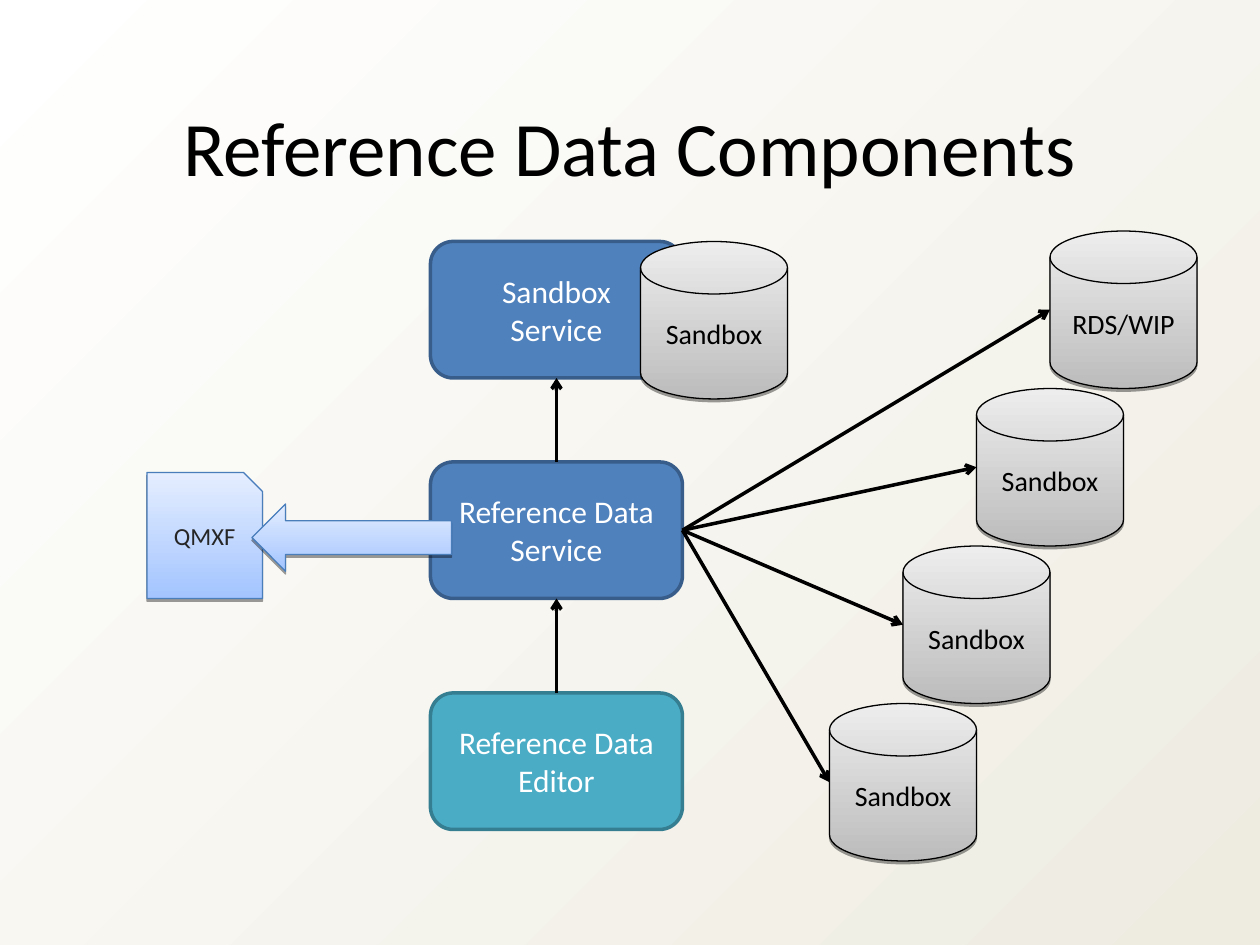
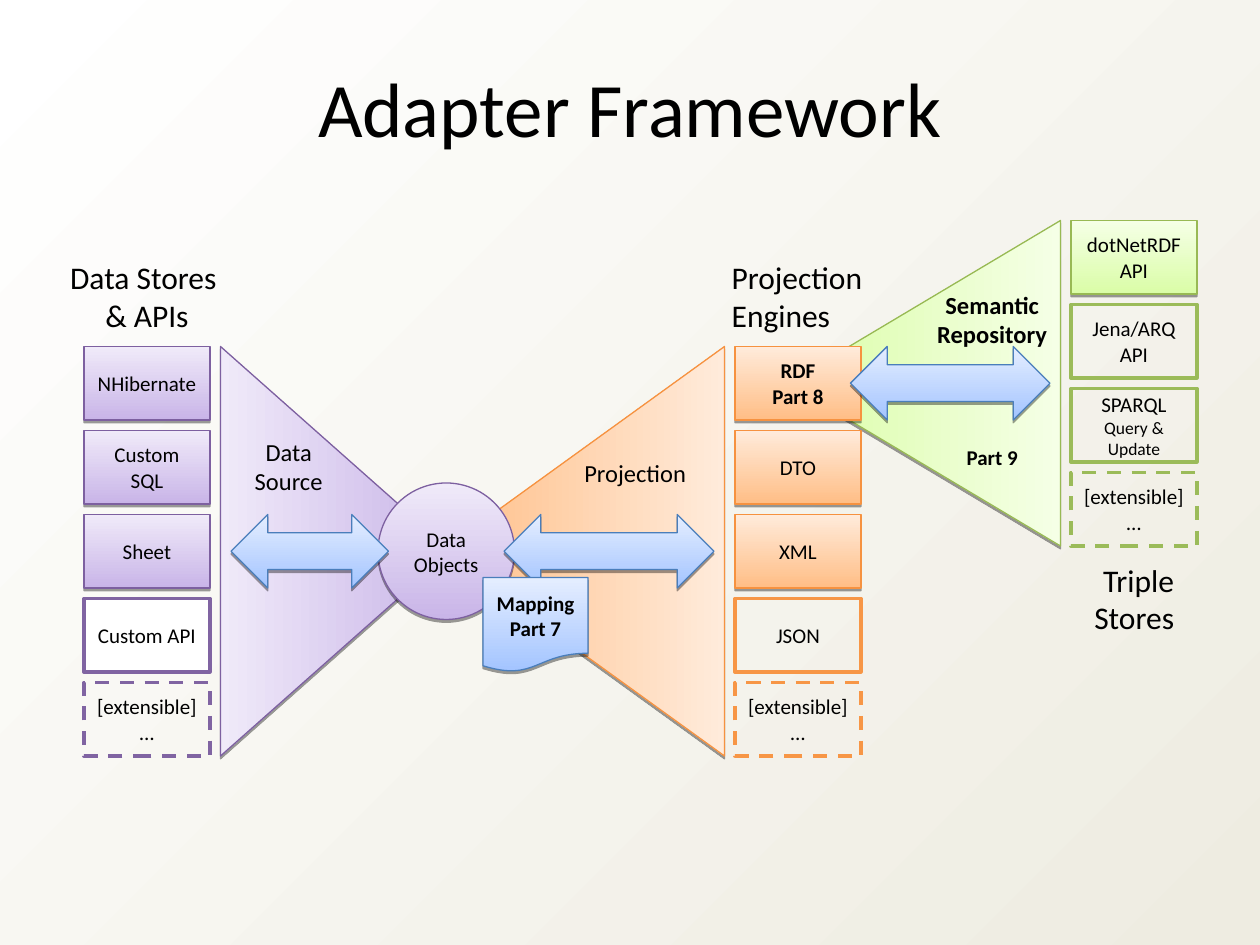
from dataclasses import dataclass
from typing import Any, NamedTuple

from lxml.etree import SubElement
from pptx import Presentation
from pptx.dml.color import RGBColor
from pptx.enum.dml import MSO_LINE
from pptx.enum.shapes import MSO_CONNECTOR, MSO_SHAPE
from pptx.enum.text import MSO_ANCHOR, MSO_AUTO_SIZE, PP_ALIGN
from pptx.oxml.ns import qn
from pptx.util import Emu, Inches, Pt

WIDE, HIGH = Inches(10), Inches(7.5)
COLS = 120
UNIT = WIDE // COLS
FONT = "Calibri"
BLACK, WHITE = "000000", "FFFFFF"


class Box(NamedTuple):
    """A place on the grid, in columns and rows."""

    col: float
    row: float
    wide: float
    high: float


class Look(NamedTuple):
    """Fill (none, flat or deep-to-pale), edge colour and edge style."""

    fill: tuple[str, ...]
    edge: str
    width: float = 0.75
    dash: bool = False


class Type(NamedTuple):
    """Text format, with an optional second run below or beside the first."""

    size: float = 12
    ink: str = BLACK
    bold: bool = False
    align: Any = PP_ALIGN.CENTER
    wrap: bool = True
    more: str = ""
    small: float = 10
    gap: float = 0


@dataclass
class Item:
    """A preset shape with its place, look and text."""

    kind: Any
    box: Box
    look: Look
    text: str = ""
    type: Type = Type()
    turn: int = 0


@dataclass
class Label:
    """Free text on the slide."""

    box: Box
    text: str
    type: Type


@dataclass
class Stack:
    """A column of equal boxes, one cell below another."""

    col: int
    row: int
    cells: list[tuple[str, Look, Type]]

    def items(self) -> list[Item]:
        """Place the cells at an equal pitch."""
        return [Item(MSO_SHAPE.RECTANGLE, Box(self.col, self.row + 8 * n, 12, 7), look, text, form)
                for n, (text, look, form) in enumerate(self.cells)]


def outline(hue: str, dash: bool = False, fill: tuple[str, ...] = ()) -> Look:
    """Make a look with a heavy edge."""
    return Look(fill, hue, 2, dash)


BLUE = Look(("A3C4FF", "E5EEFF"), "4A7EBB")
PURPLE = Look(("C9B5E8", "F0EAF9"), "7D60A0")
ORANGE = Look(("FFBE86", "FFEBDB"), "F69240")
GREEN = Look(("DAFDA7", "F5FFE6"), "98B954")
GREY = Look(("BCBCBC", "EDEDED"), BLACK)
CORE = outline("385D8A", fill=("4F81BD",))
TEAL = outline("357D91", fill=("4BACC6",))
VIOLET, AMBER, LIME = "8064A2", "F79646", "9BBB59"
BODY, BOLD = Type(), Type(bold=True)
NOTE, HEAD = Type(14), Type(18)
MORE = "[extensible]\n…"


def put(target: Any, **values: Any) -> None:
    """Set each named value on the target."""
    for name, value in values.items():
        setattr(target, name, value)


def tint(target: Any, hue: str) -> None:
    """Colour a fill, line or font colour from a hex string."""
    target.rgb = RGBColor.from_string(hue)


def blend(fill: Any, hues: tuple[str, ...], angle: float) -> None:
    """Lay a two-stop gradient at a counter-clockwise angle."""
    fill.gradient()
    fill.gradient_angle = angle
    for stop, hue in zip(fill.gradient_stops, hues):
        tint(stop.color, hue)


def place(box: Box) -> list[Emu]:
    """Turn grid cells into lengths."""
    return [Emu(round(part * UNIT)) for part in box]


def style(run: Any, size: float, form: Type) -> None:
    """Format one run."""
    put(run.font, name=FONT, size=Pt(size), bold=form.bold)
    tint(run.font.color, form.ink)


def write(shape: Any, text: str, form: Type, anchor: Any) -> None:
    """Fill a shape with formatted text."""
    frame = shape.text_frame
    put(frame, text=text, word_wrap=form.wrap, vertical_anchor=anchor, auto_size=MSO_AUTO_SIZE.NONE)
    for para in frame.paragraphs:
        for run in para.runs:
            style(run, form.size, form)
    if form.more:
        para = frame.add_paragraph() if form.gap else frame.paragraphs[-1]
        para.space_before = Pt(form.gap)
        run = para.add_run()
        run.text = form.more
        style(run, form.small, form)
    for para in frame.paragraphs:
        para.alignment = form.align


def shade(shape: Any) -> None:
    """Drop a short shadow straight down."""
    list_ = shape._element.spPr.find(qn("a:effectLst"))
    drop = SubElement(list_, qn("a:outerShdw"), blurRad="0", dist="20000", dir="5400000", rotWithShape="0")
    hue = SubElement(drop, qn("a:srgbClr"), val=BLACK)
    SubElement(hue, qn("a:alpha"), val="38000")


def dress(shape: Any, look: Look, angle: float = 90) -> None:
    """Give a shape its fill, edge and shadow."""
    shape.shadow.inherit = False
    if len(look.fill) == 2:
        blend(shape.fill, look.fill, angle)
        shade(shape)
    elif look.fill:
        shape.fill.solid()
        tint(shape.fill.fore_color, look.fill[0])
    else:
        shape.fill.background()
    tint(shape.line.color, look.edge)
    shape.line.width = Pt(look.width)
    if look.dash:
        shape.line.dash_style = MSO_LINE.DASH


def draw(slide: Any, item: Item) -> None:
    """Draw a preset shape; a turned one still covers its box."""
    col, row, wide, high = item.box
    box = item.box
    if item.turn:
        box = Box(col + (wide - high) / 2, row + (high - wide) / 2, high, wide)
    shape = slide.shapes.add_shape(item.kind, *place(box))
    shape.rotation = item.turn
    dress(shape, item.look, 270 if item.turn else 90)
    if item.text:
        write(shape, item.text, item.type, MSO_ANCHOR.MIDDLE)


def label(slide: Any, item: Label) -> None:
    """Add a text box."""
    write(slide.shapes.add_textbox(*place(item.box)), item.text, item.type, MSO_ANCHOR.TOP)


def arrow(slide: Any, start: tuple[float, float], end: tuple[float, float]) -> None:
    """Draw a line with an open head at its end."""
    ends = [Emu(round(part * UNIT)) for part in (*start, *end)]
    line = slide.shapes.add_connector(MSO_CONNECTOR.STRAIGHT, *ends)
    tint(line.line.color, BLACK)
    line.line.width = Pt(2)
    props = line._element.spPr
    SubElement(props.find(qn("a:ln")), qn("a:tailEnd"), type="arrow")
    SubElement(props, qn("a:effectLst"))


def sheet(slide: Any, box: Box, cut: float, text: str) -> None:
    """Draw a page with its top right corner cut."""
    left, top, wide, high = place(box)
    snip = round(cut * UNIT)
    right, foot = left + wide, top + high
    pen = slide.shapes.build_freeform(left, top)
    pen.add_line_segments([(right - snip, top), (right, top + snip), (right, foot), (left, foot)])
    page = pen.convert_to_shape()
    dress(page, BLUE)
    write(page, text, Type(14, "262626"), MSO_ANCHOR.MIDDLE)


def begin(deck: Any, title: str, row: float) -> Any:
    """Add a slide with its title at a row."""
    slide = deck.slides.add_slide(deck.slide_layouts[5])
    head = slide.shapes.title
    left, top, wide, high = place(Box(2, row, COLS - 4, 10))
    put(head, left=left, top=top, width=wide, height=high)
    write(head, title, Type(44), MSO_ANCHOR.TOP)
    return slide


def parts(deck: Any) -> None:
    """Build the slide of reference data parts."""
    slide = begin(deck, "Reference Data Components", 8.9)
    names = ["RDS/WIP", "Sandbox", "Sandbox", "Sandbox"]
    disks = [Item(MSO_SHAPE.FLOWCHART_MAGNETIC_DISK, Box(100 - 7 * n, 22 + 15 * n, 14, 15), GREY, name, Type(16))
             for n, name in enumerate(names)]
    boxes = [Item(MSO_SHAPE.ROUNDED_RECTANGLE, Box(41, row, 24, 13), look, text, Type(18, WHITE))
             for row, look, text in [(23, CORE, "Sandbox\vService"), (44, CORE, "Reference Data Service"),
                                     (66, TEAL, "Reference Data Editor")]]
    for item in disks + boxes:
        draw(slide, item)
    sheet(slide, Box(14, 45, 11, 12), 1.8, "QMXF")
    for disk in disks:
        arrow(slide, (65, 50.5), (disk.box.col, disk.box.row + 7.5))
    draw(slide, Item(MSO_SHAPE.LEFT_ARROW, Box(24, 48, 19, 6.4), BLUE))
    for upper, lower in zip(boxes, boxes[1:]):
        arrow(slide, (53, lower.box.row), (53, upper.box.row + 13))
    draw(slide, Item(MSO_SHAPE.FLOWCHART_MAGNETIC_DISK, Box(61, 23, 14, 15), GREY, "Sandbox", Type(16)))


def frame(deck: Any) -> None:
    """Build the slide of the adapter framework."""
    slide = begin(deck, "Adapter Framework", 5.2)
    fans = [(Box(75, 21, 26, 31), GREEN, 270), (Box(21, 33, 22, 39), PURPLE, 90),
            (Box(42, 33, 27, 39), ORANGE, 270)]
    for box, look, turn in fans:
        draw(slide, Item(MSO_SHAPE.ISOSCELES_TRIANGLE, box, look, turn=turn))
    stacks = [
        Stack(8, 33, [("NHibernate", PURPLE, BODY), ("Custom SQL", PURPLE, BODY), ("Sheet", PURPLE, BODY),
                      ("Custom API", outline(VIOLET, fill=(WHITE,)), BODY), (MORE, outline(VIOLET, True), BODY)]),
        Stack(70, 33, [("RDF\vPart 8", ORANGE, BOLD), ("DTO", ORANGE, BODY), ("XML", ORANGE, BODY),
                       ("JSON", outline(AMBER), BODY), (MORE, outline(AMBER, True), BODY)]),
        Stack(102, 21, [("dotNetRDF API", GREEN, BODY), ("Jena/ARQ\vAPI", outline(LIME), BODY),
                        ("SPARQL ", outline(LIME), Type(more="Query & Update")),
                        (MORE, outline(LIME, True), BODY)]),
    ]
    for stack in stacks:
        for item in stack.items():
            draw(slide, item)
    draw(slide, Item(MSO_SHAPE.OVAL, Box(36, 46, 13, 13), PURPLE, "Data Objects"))
    for col, row, wide in [(22, 49, 15), (48, 49, 20), (81, 33, 19)]:
        draw(slide, Item(MSO_SHAPE.LEFT_RIGHT_ARROW, Box(col, row, wide, 7), BLUE))
    draw(slide, Item(MSO_SHAPE.FLOWCHART_DOCUMENT, Box(46, 55, 10, 9), BLUE, "Mapping\vPart 7", BOLD))
    labels = [
        Label(Box(88, 27, 13, 18.5), "Semantic\vRepository", Type(14, bold=True, more="Part 9", small=12, gap=55)),
        Label(Box(52, 43, 17, 4), "Projection", NOTE),
        Label(Box(21, 41, 13, 7), "Data\vSource", NOTE),
        Label(Box(68.5, 24, 15, 8.4), "Projection\vEngines", Type(18, align=PP_ALIGN.LEFT, wrap=False)),
        Label(Box(5.5, 24, 17, 12), "Data Stores \v& APIs", HEAD),
        Label(Box(103, 52.8, 10, 8.4), "Triple\vStores", Type(18, align=PP_ALIGN.RIGHT, wrap=False)),
    ]
    for item in labels:
        label(slide, item)


def main() -> None:
    """Build the deck and save it."""
    deck = Presentation()
    put(deck, slide_width=WIDE, slide_height=HIGH)
    blend(deck.slide_master.background.fill, (WHITE, "EEECE1"), 315)
    parts(deck)
    frame(deck)
    deck.save("out.pptx")


if __name__ == "__main__":
    main()
